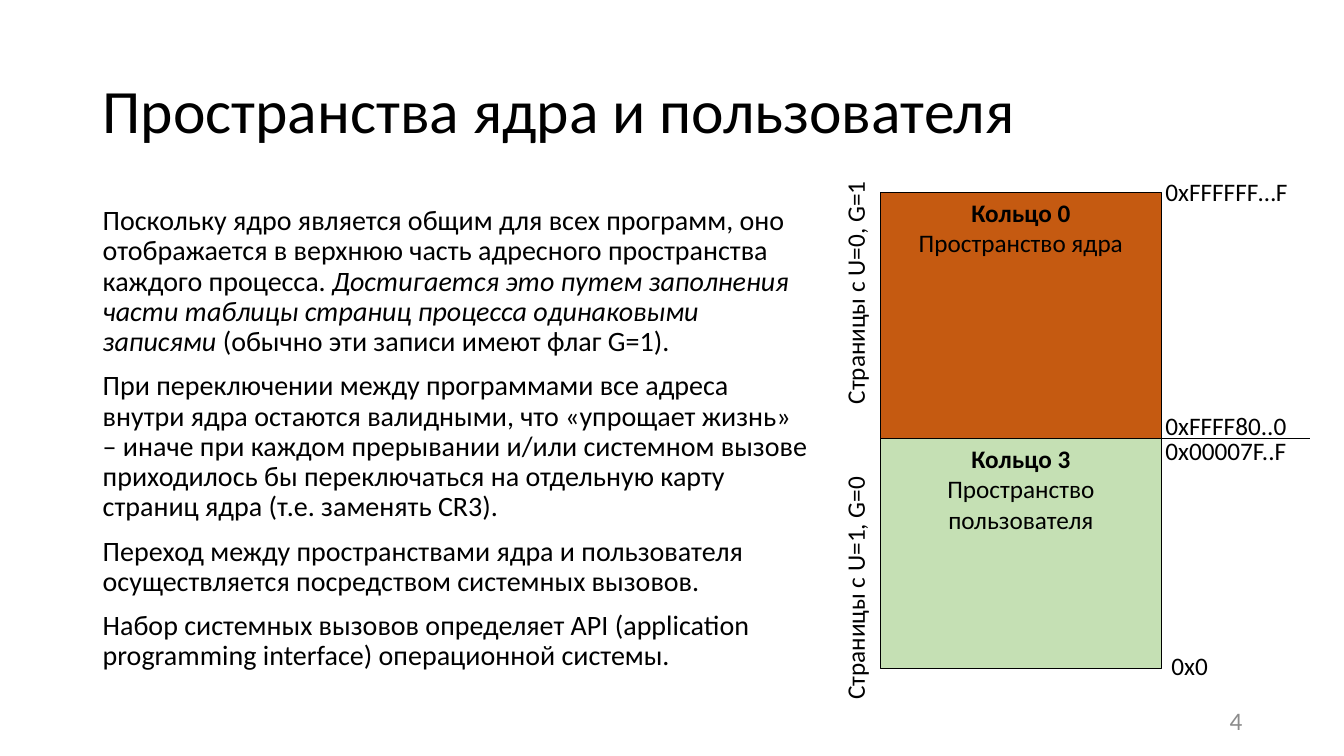
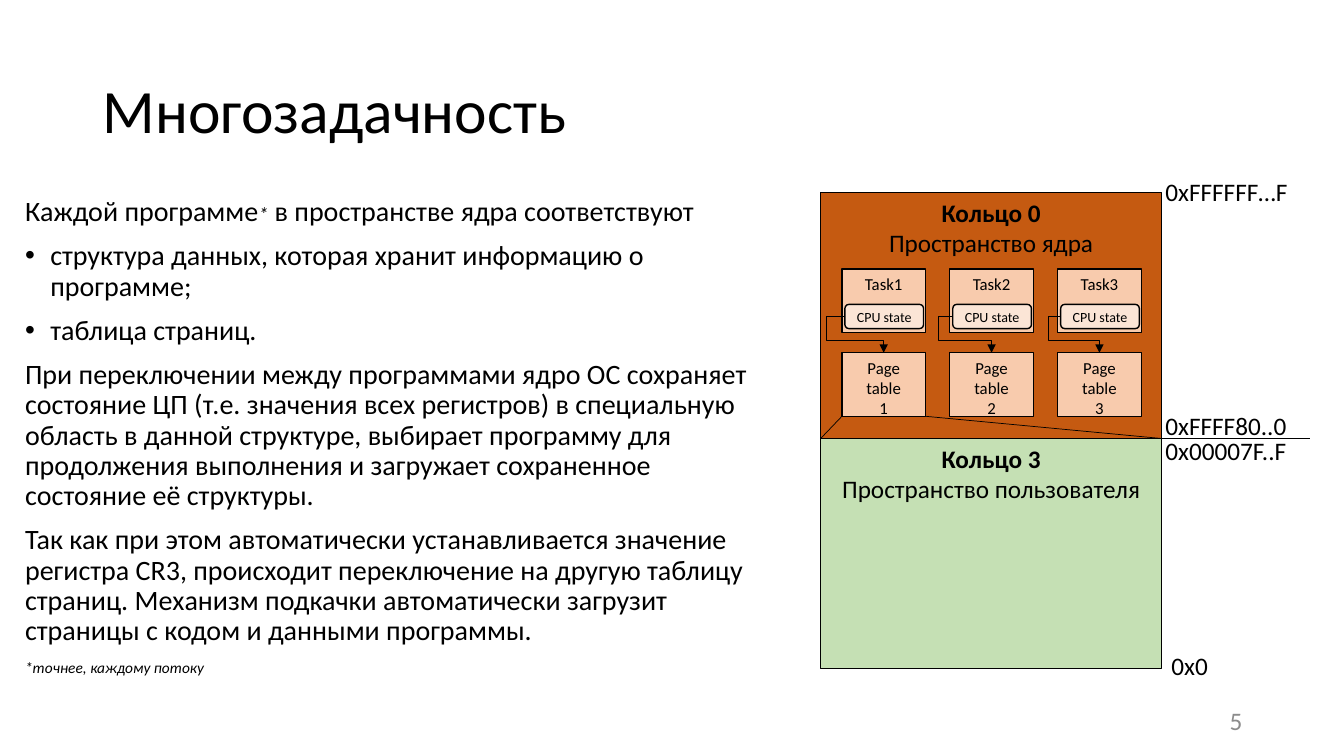
"""Two slides about kernel and user address space and multitasking."""
from dataclasses import dataclass

from lxml import etree
from pptx import Presentation
from pptx.dml.color import RGBColor
from pptx.enum.shapes import MSO_CONNECTOR, MSO_SHAPE
from pptx.enum.text import MSO_ANCHOR, MSO_AUTO_SIZE, PP_ALIGN
from pptx.oxml.ns import qn
from pptx.util import Pt

RECTANGLE, ROUNDED = MSO_SHAPE.RECTANGLE, MSO_SHAPE.ROUNDED_RECTANGLE
STRAIGHT, ELBOW = MSO_CONNECTOR.STRAIGHT, MSO_CONNECTOR.ELBOW
TOP, MIDDLE = MSO_ANCHOR.TOP, MSO_ANCHOR.MIDDLE
LEFT, CENTER, RIGHT = PP_ALIGN.LEFT, PP_ALIGN.CENTER, PP_ALIGN.RIGHT
TOP_SIDE, LEFT_SIDE = 0, 1
EMU_PER_PX = 9144
BLANK_LAYOUT = 6

MAP_TOP, MAP_SPLIT, MAP_BOTTOM, MAP_RIGHT = 191, 435, 663, 1152
TASK_LEFT, TASK_TOP, TASK_PITCH = 835, 267, 107
PAGE_TABLE_TOP, CARD_WIDTH, CARD_HEIGHT = 350, 83, 63
STATE_WIDTH, STATE_HEIGHT = 78, 24
ARROW_TURN = 338
ARROW_DETOURS = (18, 14, 12)


@dataclass(frozen=True)
class Theme:
    """Colours, font and type sizes shared by the slides."""
    font: str = "Calibri"
    ink: str = "000000"
    muted: str = "8C8C8C"
    kernel: str = "C55A11"
    user: str = "C5E0B4"
    card: str = "F8CBAD"
    state: str = "FBE5D6"
    title: int = 44
    body: int = 20
    label: int = 18
    mark: int = 14
    small: int = 12
    note: int = 11
    tiny: int = 10
    border: float = 1
    hairline: float = 0.5


@dataclass(frozen=True)
class Span:
    """A piece of text with its own format."""
    text: str
    size: int = 0
    bold: bool = False
    italic: bool = False


@dataclass(frozen=True)
class Para:
    """A paragraph made of spans."""
    spans: tuple
    bullet: bool = False


THEME = Theme()

SPACES_TEXT = (
    Para((
        Span("Поскольку ядро является общим для всех программ, оно отображается в верхнюю "
             "часть адресного пространства каждого процесса. "),
        Span("Достигается это путем заполнения части таблицы страниц процесса "
             "одинаковыми записями ", italic=True),
        Span("(обычно эти записи имеют флаг G=1)."))),
    "При переключении между программами все адреса внутри ядра остаются валидными, что "
    "«упрощает жизнь» – иначе при каждом прерывании и/или системном вызове приходилось бы "
    "переключаться на отдельную карту страниц ядра (т.е. заменять CR3).",
    "Переход между пространствами ядра и пользователя осуществляется посредством "
    "системных вызовов.",
    "Набор системных вызовов определяет API (application programming interface) "
    "операционной системы.",
)

TASKS_TEXT = (
    Para((
        Span("Каждой программе"),
        Span("*", size=THEME.mark, italic=True),
        Span(" в пространстве ядра соответствуют"))),
    Para((Span("структура данных, которая хранит информацию о программе;"),), bullet=True),
    Para((Span("таблица страниц."),), bullet=True),
    "При переключении между программами ядро ОС сохраняет состояние ЦП (т.е. значения всех "
    "регистров) в специальную область в данной структуре, выбирает программу для "
    "продолжения выполнения и загружает сохраненное состояние её структуры.",
    "Так как при этом автоматически устанавливается значение регистра CR3, происходит "
    "переключение на другую таблицу страниц. Механизм подкачки автоматически загрузит "
    "страницы с кодом и данными программы.",
    Para((Span("*точнее, каждому потоку", size=THEME.note, italic=True),)),
)


def px(length):
    """Turn px into EMU."""
    return round(length * EMU_PER_PX)


def color(code):
    """Turn a hex code into a colour."""
    return RGBColor.from_string(code)


def add_bullet(para):
    """Give a paragraph a hanging round bullet."""
    props = para._p.get_or_add_pPr()
    props.set("marL", str(px(25)))
    props.set("indent", str(-px(25)))
    etree.SubElement(props, qn("a:buFont"), typeface="Arial")
    etree.SubElement(props, qn("a:buChar"), char="•")


def write_text(shape, paragraphs, size=THEME.label, ink=THEME.ink, align=LEFT,
               anchor=TOP, spacing=1.0, before=0, wrap=True):
    """Fill a shape with paragraphs, each a string or a Para."""
    frame = shape.text_frame
    frame.word_wrap = wrap
    frame.vertical_anchor = anchor
    frame.auto_size = MSO_AUTO_SIZE.NONE if wrap else MSO_AUTO_SIZE.SHAPE_TO_FIT_TEXT
    for index, content in enumerate(paragraphs):
        if isinstance(content, str):
            content = Para((Span(content),))
        para = frame.add_paragraph() if index else frame.paragraphs[0]
        para.alignment = align
        para.line_spacing = spacing
        para.space_before = Pt(before if index else 0)
        if content.bullet:
            add_bullet(para)
        for span in content.spans:
            run = para.add_run()
            run.text = span.text
            font = run.font
            font.name = THEME.font
            font.size = Pt(span.size or size)
            font.bold = span.bold
            font.italic = span.italic
            font.color.rgb = color(ink)


def add_text(page, left, top, width, height, paragraphs, rotation=0, **style):
    """Add a text box."""
    box = page.shapes.add_textbox(px(left), px(top), px(width), px(height))
    box.rotation = rotation
    write_text(box, paragraphs, **style)


def add_box(page, left, top, width, height, fill, paragraphs, kind=RECTANGLE, **style):
    """Add an outlined, filled shape with centred text."""
    box = page.shapes.add_shape(kind, px(left), px(top), px(width), px(height))
    box.shadow.inherit = False
    box.fill.solid()
    box.fill.fore_color.rgb = color(fill)
    box.line.color.rgb = color(THEME.ink)
    box.line.width = Pt(THEME.border)
    write_text(box, paragraphs, align=CENTER, **style)
    return box


def add_line(page, start, end, kind=STRAIGHT):
    """Add a thin connector between two points."""
    line = page.shapes.add_connector(kind, *map(px, start + end))
    line.line.color.rgb = color(THEME.ink)
    line.line.width = Pt(THEME.hairline)
    etree.SubElement(line.element.spPr, qn("a:effectLst"))
    return line


def add_state_arrow(page, state, table, detour):
    """Lead an arrow from the left of a state box round to the top of a page table."""
    start = (state.left, state.top + state.height // 2)
    end = (table.left + table.width // 2, table.top)
    arrow = add_line(page, (0, 0), (1, 1), ELBOW)
    arrow.begin_connect(state, LEFT_SIDE)
    arrow.end_connect(table, TOP_SIDE)
    geometry = arrow.element.spPr.find(qn("a:prstGeom"))
    geometry.set("prst", "bentConnector4")
    guides = geometry.find(qn("a:avLst"))
    ratios = (-px(detour) / (end[0] - start[0]),
              (px(ARROW_TURN) - start[1]) / (end[1] - start[1]))
    for number, ratio in enumerate(ratios, 1):
        etree.SubElement(guides, qn("a:gd"), name=f"adj{number}",
                         fmla=f"val {round(ratio * 100000)}")
    outline = arrow.line._get_or_add_ln()
    etree.SubElement(outline, qn("a:tailEnd"), type="triangle")


def add_page(deck, title, number):
    """Add a blank slide with its title and number."""
    page = deck.slides.add_slide(deck.slide_layouts[BLANK_LAYOUT])
    add_text(page, 92, 40, 1150, 145, [title], size=THEME.title, anchor=MIDDLE, spacing=0.9)
    add_text(page, 942, 695, 300, 40, [str(number)], ink=THEME.muted, align=RIGHT,
             anchor=MIDDLE)
    return page


def add_body(page, left, top, width, height, paragraphs):
    """Add the main text of a slide."""
    add_text(page, left, top, width, height, paragraphs, size=THEME.body, spacing=0.9,
             before=10)


def add_memory_map(page, left):
    """Draw kernel space above user space with the border addresses."""
    rings = (
        (MAP_TOP, MAP_SPLIT, THEME.kernel, "Кольцо 0", "Пространство ядра"),
        (MAP_SPLIT, MAP_BOTTOM, THEME.user, "Кольцо 3", "Пространство пользователя"),
    )
    for top, bottom, fill, ring, space in rings:
        add_box(page, left, top, MAP_RIGHT - left, bottom - top, fill,
                [Para((Span(ring, bold=True),)), space])
    addresses = (
        (1152, 640, 57, "0x0"),
        (1146, 170, 142, "0xFFFFFF…F"),
        (1146, 402, 141, "0xFFFF80..0"),
        (1146, 427, 141, "0x00007F..F"),
    )
    for label_left, top, width, address in addresses:
        add_text(page, label_left, top, width, 40, [address], wrap=False)
    add_line(page, (MAP_RIGHT, MAP_SPLIT), (1299, MAP_SPLIT))


def add_task(page, number, detour):
    """Draw a task with its saved state and its page table."""
    left = TASK_LEFT + (number - 1) * TASK_PITCH
    add_box(page, left, TASK_TOP, CARD_WIDTH, CARD_HEIGHT, THEME.card, [f"Task{number}"],
            size=THEME.small)
    state = add_box(page, left + 3, TASK_TOP + 35, STATE_WIDTH, STATE_HEIGHT, THEME.state,
                    ["CPU state"], kind=ROUNDED, size=THEME.tiny, anchor=MIDDLE)
    table = add_box(page, left, PAGE_TABLE_TOP, CARD_WIDTH, CARD_HEIGHT, THEME.card,
                    ["Page table", str(number)], size=THEME.small)
    add_state_arrow(page, state, table, detour)


def build_spaces_page(deck):
    """Build the slide on kernel and user spaces."""
    page = add_page(deck, "Пространства ядра и пользователя", 4)
    add_body(page, 92, 200, 722, 476, SPACES_TEXT)
    for top, flags in ((562, "U=1, G=0"), (269, "U=0, G=1")):
        add_text(page, 726, top, 244, 40, [f"Страницы с {flags}"], rotation=270, wrap=False)
    add_memory_map(page, 873)


def build_tasks_page(deck):
    """Build the slide on multitasking."""
    map_left = 814
    page = add_page(deck, "Многозадачность", 5)
    add_body(page, 15, 191, 762, 519, TASKS_TEXT)
    add_memory_map(page, map_left)
    for number, detour in enumerate(ARROW_DETOURS, 1):
        add_task(page, number, detour)
    table_bottom = PAGE_TABLE_TOP + CARD_HEIGHT
    add_line(page, (TASK_LEFT, table_bottom), (map_left, MAP_SPLIT))
    add_line(page, (TASK_LEFT + CARD_WIDTH, table_bottom), (MAP_RIGHT, MAP_SPLIT))


def main():
    """Build and save the deck."""
    deck = Presentation()
    deck.slide_width, deck.slide_height = px(1333), px(750)
    build_spaces_page(deck)
    build_tasks_page(deck)
    deck.save("out.pptx")


if __name__ == "__main__":
    main()
